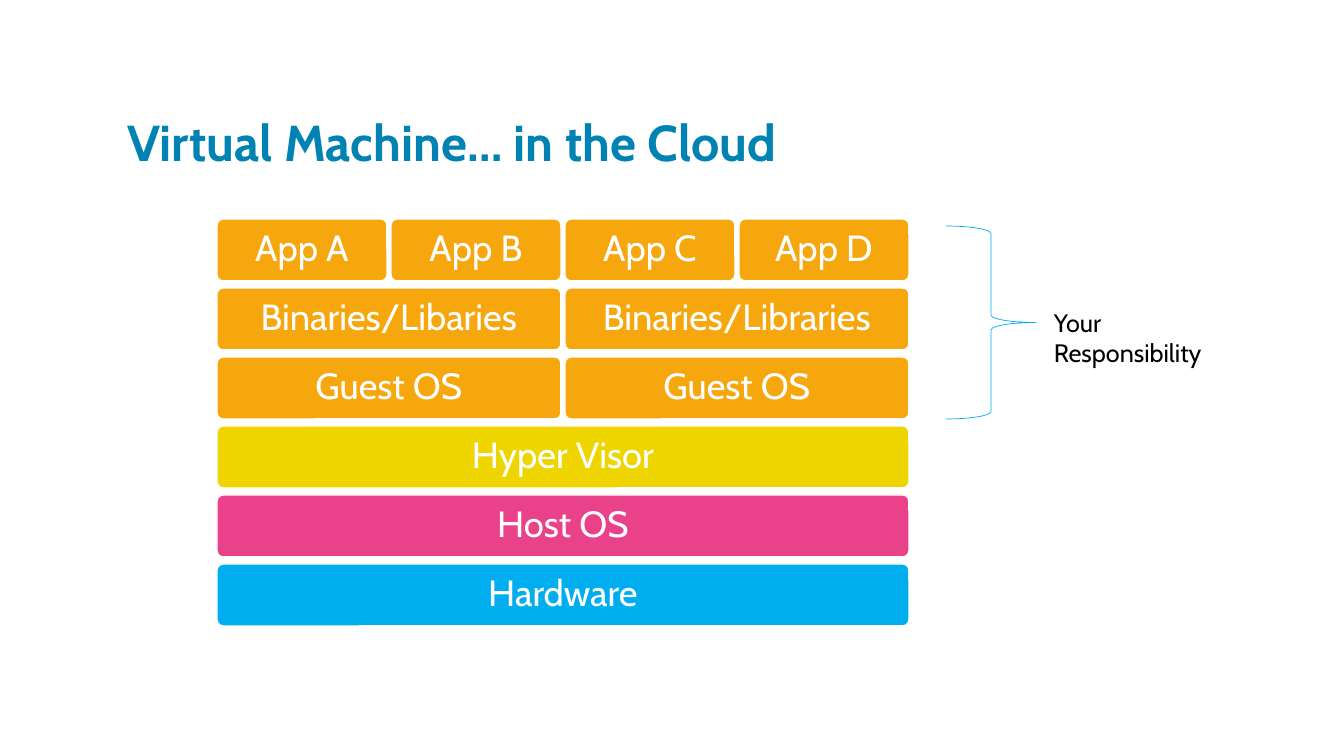
"""Build the slide on the layers of a virtual machine in the cloud."""
import pptx
import pptx.dml.color
import pptx.enum.shapes
import pptx.enum.text
import pptx.util

PX = 12192000 / 1344
COLORS = {
    "title": "0083B3",
    "guest": "F5A70D",
    "hypervisor": "EED500",
    "host": "EA428A",
    "hardware": "00AEEF",
    "white": "FFFFFF",
    "black": "000000",
}
LAYERS = [
    ("guest", ["App A", "App B", "App C", "App D"]),
    ("guest", ["Binaries/Libaries", "Binaries/Libraries"]),
    ("guest", ["Guest OS", "Guest OS"]),
    ("hypervisor", ["Hyper Visor"]),
    ("host", ["Host OS"]),
    ("hardware", ["Hardware"]),
]
STACK_LEFT, STACK_TOP, STACK_WIDTH = 217, 219, 692
ROW_HEIGHT, ROW_PITCH, GAP = 62, 69, 4
ALIGN = pptx.enum.text.PP_ALIGN
ANCHOR = pptx.enum.text.MSO_ANCHOR
SHAPES = pptx.enum.shapes.MSO_SHAPE


def emu(*lengths):
    return [pptx.util.Emu(round(length * PX)) for length in lengths]


def write(box, text, size, color, bold=False, align=ALIGN.LEFT, anchor=ANCHOR.TOP, spacing=1.0):
    frame = box.text_frame
    frame.word_wrap = True
    frame.auto_size = pptx.enum.text.MSO_AUTO_SIZE.NONE
    frame.vertical_anchor = anchor
    para = frame.paragraphs[0]
    para.alignment = align
    para.line_spacing = spacing
    span = para.add_run()
    span.text = text
    span.font.name = "Cabin"
    span.font.size = pptx.util.Pt(size)
    span.font.bold = bold
    span.font.color.rgb = pptx.dml.color.RGBColor.from_string(COLORS[color])


deck = pptx.Presentation()
deck.slide_width, deck.slide_height = emu(1344, 756)
page = deck.slides.add_slide(deck.slide_layouts[5])

title = page.shapes.title
title.left, title.top, title.width, title.height = emu(117, 58, 958, 118)
write(title, "Virtual Machine… in the Cloud", 36, "title", bold=True,
      anchor=ANCHOR.BOTTOM, spacing=0.8)

for row, (color, labels) in enumerate(LAYERS):
    width = (STACK_WIDTH - GAP * (len(labels) - 1)) // len(labels)
    top = STACK_TOP + row * ROW_PITCH
    for column, label in enumerate(labels):
        left = STACK_LEFT + column * (width + GAP)
        block = page.shapes.add_shape(
            SHAPES.ROUNDED_RECTANGLE, *emu(left, top, width, ROW_HEIGHT))
        block.adjustments[0] = 0.1
        block.shadow.inherit = False
        block.fill.solid()
        block.fill.fore_color.rgb = pptx.dml.color.RGBColor.from_string(COLORS[color])
        block.line.color.rgb = pptx.dml.color.RGBColor.from_string(COLORS["white"])
        block.line.width = pptx.util.Pt(1)
        write(block, label, 26, "white", align=ALIGN.CENTER,
              anchor=ANCHOR.MIDDLE, spacing=0.9)

brace = page.shapes.add_shape(SHAPES.RIGHT_BRACE, *emu(946, 226, 90, 193))
brace.shadow.inherit = False
brace.fill.background()
brace.line.color.rgb = pptx.dml.color.RGBColor.from_string(COLORS["hardware"])
brace.line.width = pptx.util.Pt(0.5)

note = page.shapes.add_textbox(*emu(1044, 302, 208, 70))
write(note, "Your Responsibility", 18, "black")

deck.save("out.pptx")
